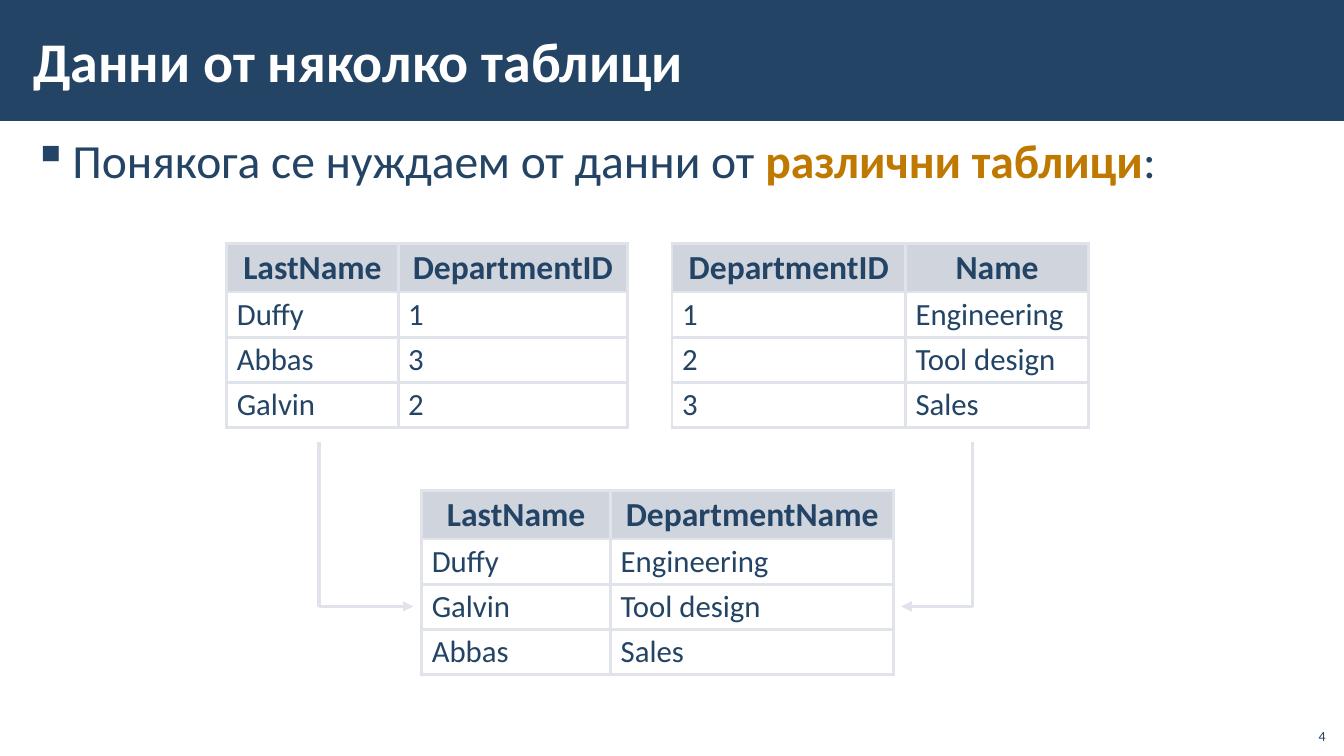
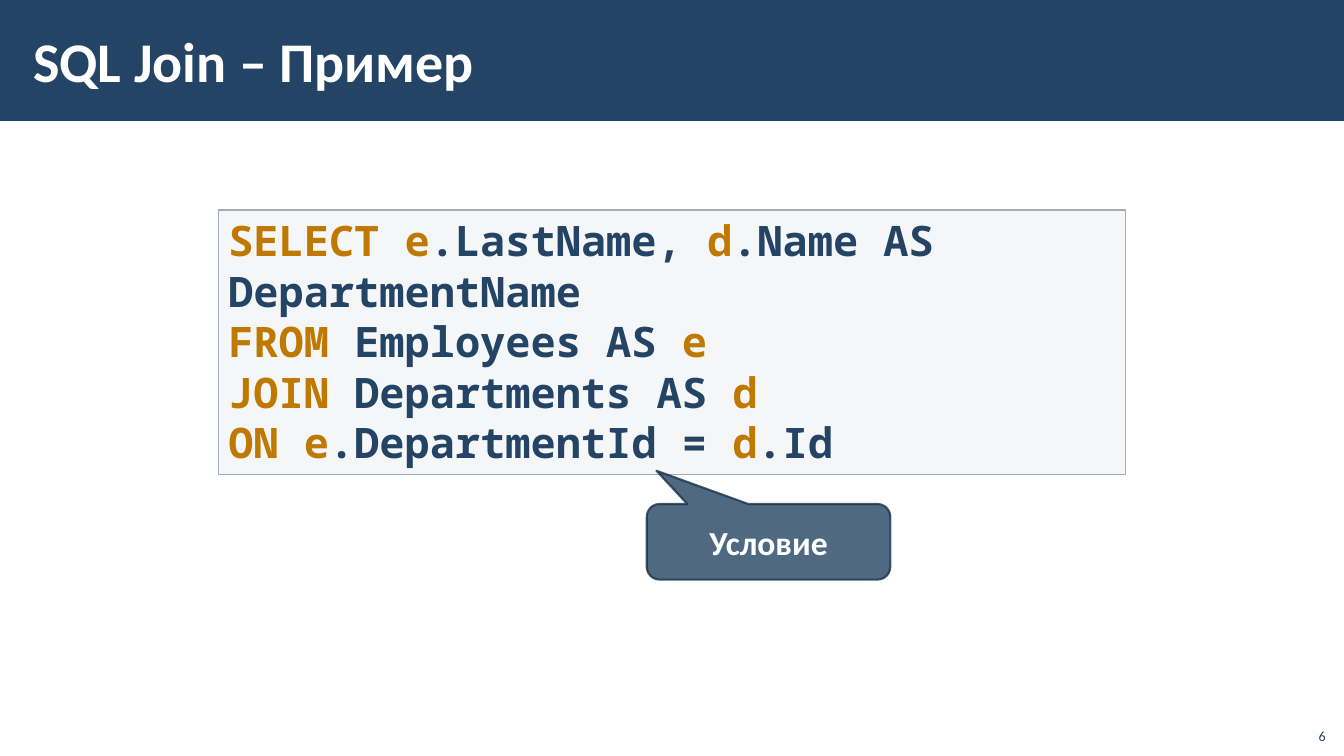
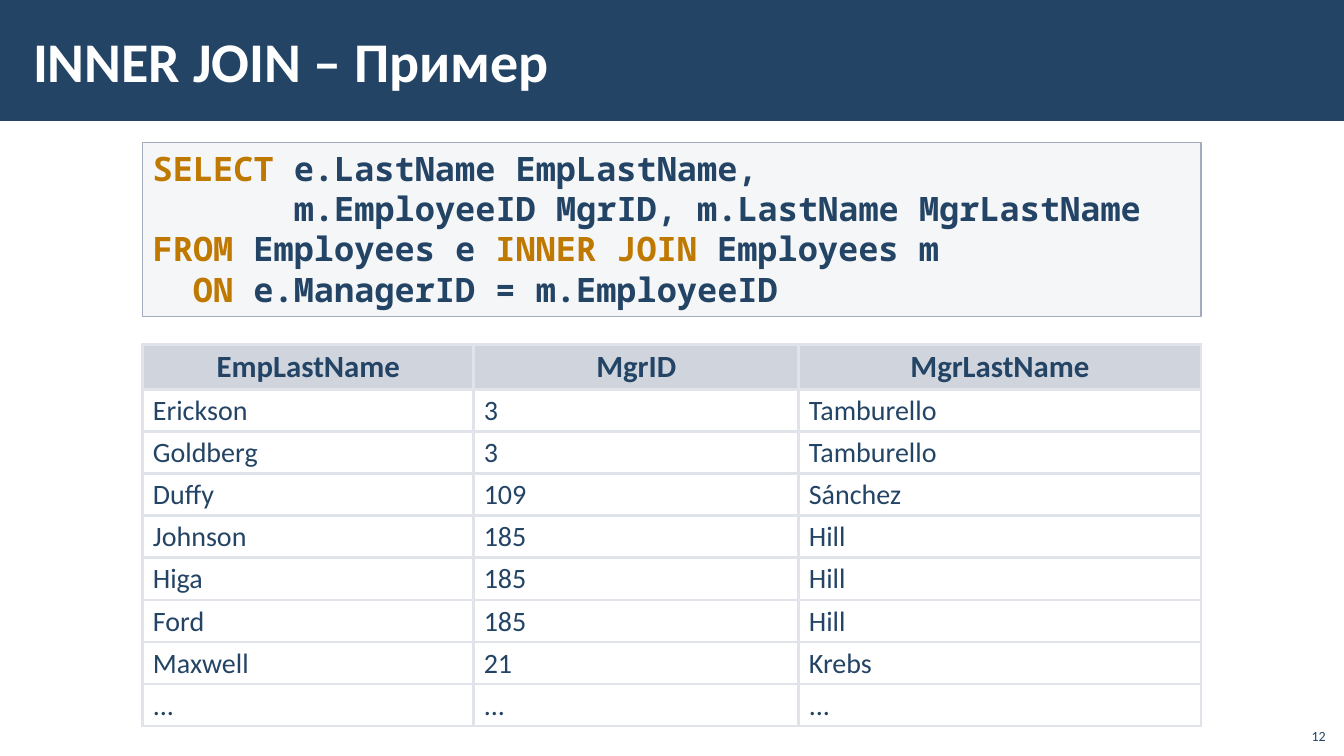
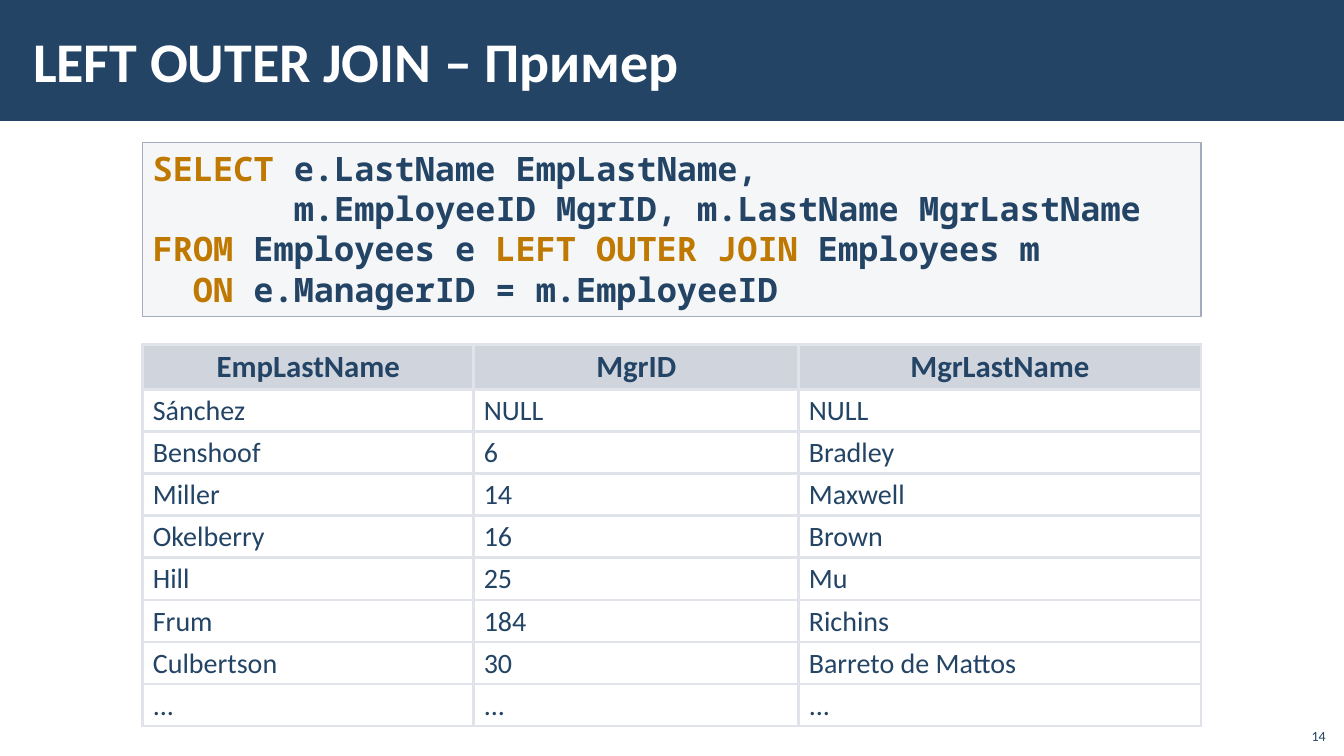
import lxml.etree
import pptx
import pptx.dml.color
import pptx.enum.shapes
import pptx.enum.text
import pptx.oxml.ns
import pptx.util

COLOURS = {
    "navy": "234465",
    "outline": "1A334C",
    "accent": "BF7800",
    "white": "FFFFFF",
    "header": "A3ABBC",
    "code": "C2C7D2",
    "rule": "E0E3E9",
}
BODY_FONT, CODE_FONT = "Calibri", "Noto Sans Mono"
COLUMNS, ROWS = 160, 90  # square grid, 12 cells to the inch

SHAPES = pptx.enum.shapes.MSO_SHAPE
ALIGN = pptx.enum.text.PP_ALIGN
ANCHOR = pptx.enum.text.MSO_ANCHOR
qn = pptx.oxml.ns.qn


def colour(name):
    return pptx.dml.color.RGBColor.from_string(COLOURS[name])


def add_xml(parent, tag, **attributes):
    return lxml.etree.SubElement(parent, qn(tag), attributes)


def fade(element, percent):
    """Make every colour set so far in the element partly transparent."""
    for value in element.iter(qn("a:srgbClr")):
        add_xml(value, "a:alpha", val=str(percent * 1000))


class Deck:
    def __init__(self):
        self.presentation = pptx.Presentation()
        self.presentation.slide_width = pptx.util.Inches(COLUMNS / 12)
        self.presentation.slide_height = pptx.util.Inches(ROWS / 12)
        self.slide = None

    def x(self, columns):
        return round(self.presentation.slide_width * columns / COLUMNS)

    def y(self, rows):
        return round(self.presentation.slide_height * rows / ROWS)

    def area(self, left, top, width, height):
        return self.x(left), self.y(top), self.x(width), self.y(height)

    # Slide with its title band and page number
    def new_slide(self, title, number):
        self.slide = self.presentation.slides.add_slide(
            self.presentation.slide_layouts[6])
        self.shape(SHAPES.RECTANGLE, (0, 0, COLUMNS, 14.4), "navy")
        self.text((2.5, 1.3, 134.8, 11.6), title, 40, "white", bold=True,
                  anchor=ANCHOR.MIDDLE, insets=(0.12, 0.04))
        self.text((154.2, 85.4, 4.8, 3.8), str(number), 10,
                  anchor=ANCHOR.BOTTOM, align=ALIGN.RIGHT)

    def shape(self, kind, area, fill, opacity=100):
        shape = self.slide.shapes.add_shape(kind, *self.area(*area))
        shape.shadow.inherit = False
        shape.fill.solid()
        shape.fill.fore_color.rgb = colour(fill)
        if opacity < 100:
            fade(shape.element.spPr, opacity)
        shape.line.fill.background()
        return shape

    # Text: parts between asterisks take the accent colour
    def set_text(self, paragraph, text, size, ink="navy", font=BODY_FONT,
                 bold=False, align=ALIGN.LEFT, accent_bold=False):
        paragraph.alignment = align
        paragraph.font.name = font
        paragraph.font.size = pptx.util.Pt(size)
        paragraph.font.bold = bold
        paragraph.font.color.rgb = colour(ink)
        for index, part in enumerate(text.split("*")):
            if not part:
                continue
            run = paragraph.add_run()
            run.text = part
            if index % 2:
                run.font.color.rgb = colour("accent")
                if accent_bold:
                    run.font.bold = True

    def frame(self, shape, anchor=ANCHOR.TOP, insets=(0.1, 0.05)):
        frame = shape.text_frame
        frame.word_wrap = True
        frame.vertical_anchor = anchor
        frame.margin_left = frame.margin_right = pptx.util.Inches(insets[0])
        frame.margin_top = frame.margin_bottom = pptx.util.Inches(insets[1])
        return frame

    def text(self, area, text, size, ink="navy", anchor=ANCHOR.TOP,
             insets=(0.1, 0.05), **style):
        box = self.slide.shapes.add_textbox(*self.area(*area))
        frame = self.frame(box, anchor, insets)
        self.set_text(frame.paragraphs[0], text, size, ink, **style)

    def bullet(self, area, text):
        box = self.slide.shapes.add_textbox(*self.area(*area))
        paragraph = self.frame(box, insets=(0.12, 0.04)).paragraphs[0]
        paragraph.space_after = pptx.util.Pt(6)
        properties = paragraph._p.get_or_add_pPr()
        indent = pptx.util.Inches(0.39)
        properties.set("marL", str(indent))
        properties.set("indent", str(-indent))
        add_xml(properties, "a:buChar", char="▪")
        self.set_text(paragraph, text, 34, accent_bold=True)

    def code(self, area, lines, size):
        box = self.shape(SHAPES.RECTANGLE, area, "code", 15)
        box.line.color.rgb = colour("header")
        box.line.width = pptx.util.Pt(1)
        frame = self.frame(box)
        for index, line in enumerate(lines):
            paragraph = frame.add_paragraph() if index else frame.paragraphs[0]
            self.set_text(paragraph, line, size, font=CODE_FONT, bold=True)

    def callout(self, area, text, adjustments):
        callout = self.shape(SHAPES.ROUNDED_RECTANGULAR_CALLOUT, area, "navy")
        for index, value in enumerate(adjustments):
            callout.adjustments[index] = value
        callout.line.color.rgb = colour("outline")
        callout.line.width = pptx.util.Pt(1.5)
        fade(callout.element.spPr, 80)
        self.set_text(self.frame(callout, ANCHOR.MIDDLE).paragraphs[0], text,
                      24, "white", bold=True, align=ALIGN.CENTER)

    # Table: the header is one step (2 pt) larger than the rows
    def table(self, left, top, widths, rows, size):
        heights = [self.row_height(size + 2)]
        heights += [self.row_height(size)] * (len(rows) - 1)
        table = self.slide.shapes.add_table(
            len(rows), len(widths),
            *self.area(left, top, sum(widths), sum(heights))).table
        table.first_row = table.horz_banding = False
        for column, width in zip(table.columns, widths):
            column.width = self.x(width)
        for row, height in zip(table.rows, heights):
            row.height = self.y(height)
        for r, values in enumerate(rows):
            for c, value in enumerate(values):
                self.cell(table.cell(r, c), value, size, header=r == 0)

    def row_height(self, size):
        return round(size * 0.19 + 1.2, 2)

    def cell(self, cell, value, size, header):
        cell.vertical_anchor = ANCHOR.MIDDLE
        if header:
            cell.fill.solid()
            cell.fill.fore_color.rgb = colour("header")
            fade(cell._tc.tcPr, 50)
        else:
            cell.fill.background()
        for index, side in enumerate("LRTB"):
            border = lxml.etree.Element(
                qn("a:ln" + side), w=str(pptx.util.Pt(2.25)))
            fill = add_xml(border, "a:solidFill")
            add_xml(fill, "a:srgbClr", val=COLOURS["rule"])
            cell._tc.tcPr.insert(index, border)
        paragraph = cell.text_frame.paragraphs[0]
        paragraph.line_spacing = 0.95
        self.set_text(paragraph, value, size + 2 * header, bold=header,
                      align=ALIGN.CENTER if header else ALIGN.LEFT)

    def line(self, start, end, arrow=False):
        line = self.slide.shapes.add_connector(
            pptx.enum.shapes.MSO_CONNECTOR.STRAIGHT,
            self.x(start[0]), self.y(start[1]), self.x(end[0]), self.y(end[1]))
        line.line.color.rgb = colour("rule")
        line.line.width = pptx.util.Pt(2.5)
        properties = line.element.spPr
        if arrow:
            add_xml(properties.find(qn("a:ln")), "a:tailEnd", type="triangle")
        add_xml(properties, "a:effectLst")


def add_tables_slide(deck):
    deck.new_slide("Данни от няколко таблици", 4)
    deck.bullet((2.5, 15.1, 155, 73),
                "Понякога се нуждаем от данни от *различни таблици*:")

    # Arrows from the source tables to the joined one
    for across, tip in ((38, 49.2), (115.8, 107.3)):
        deck.line((across, 52.6), (across, 72.3))
        deck.line((across, 72.2), (tip, 72.2), arrow=True)

    employees = [("LastName", "DepartmentID"),
                 ("Duffy", "1"), ("Abbas", "3"), ("Galvin", "2")]
    departments = [("DepartmentID", "Name"), ("1", "Engineering"),
                   ("2", "Tool design"), ("3", "Sales")]
    joined = [("LastName", "DepartmentName"), ("Duffy", "Engineering"),
              ("Galvin", "Tool design"), ("Abbas", "Sales")]
    deck.table(27, 29, (20.4, 27.3), employees, 22)
    deck.table(80, 29, (27.8, 21.8), departments, 22)
    deck.table(50.2, 58.4, (22.5, 33.7), joined, 22)


def add_condition_slide(deck):
    deck.new_slide("SQL Join – Пример", 6)
    deck.code((26, 25, 108, 31.5), [
        "*SELECT e*.LastName, *d*.Name AS DepartmentName",
        "*FROM *Employees AS *e*",
        "*JOIN* Departments AS *d*",
        "*ON e*.DepartmentId = *d*.Id",
    ], 30)
    deck.callout((77, 60, 29, 9), "Условие", (-0.46, -0.94, 0.17))


def add_join_slide(deck, join, number, managers):
    deck.new_slide(f"{join} – Пример", number)
    deck.code((17, 17, 126, 20.7), [
        "*SELECT* e.LastName EmpLastName,",
        "       m.EmployeeID MgrID, m.LastName MgrLastName",
        f"*FROM* Employees e *{join}* Employees m",
        "  *ON* e.ManagerID = m.EmployeeID",
    ], 24)
    header = ("EmpLastName", "MgrID", "MgrLastName")
    deck.table(17, 41, (39.4, 38.7, 47.9),
               [header, *managers, ("...",) * 3], 20)


def main():
    deck = Deck()
    add_tables_slide(deck)
    add_condition_slide(deck)
    add_join_slide(deck, "INNER JOIN", 12, [
        ("Erickson", "3", "Tamburello"),
        ("Goldberg", "3", "Tamburello"),
        ("Duffy", "109", "Sánchez"),
        ("Johnson", "185", "Hill"),
        ("Higa", "185", "Hill"),
        ("Ford", "185", "Hill"),
        ("Maxwell", "21", "Krebs"),
    ])
    add_join_slide(deck, "LEFT OUTER JOIN", 14, [
        ("Sánchez", "NULL", "NULL"),
        ("Benshoof", "6", "Bradley"),
        ("Miller", "14", "Maxwell"),
        ("Okelberry", "16", "Brown"),
        ("Hill", "25", "Mu"),
        ("Frum", "184", "Richins"),
        ("Culbertson", "30", "Barreto de Mattos"),
    ])
    deck.presentation.save("out.pptx")


if __name__ == "__main__":
    main()
